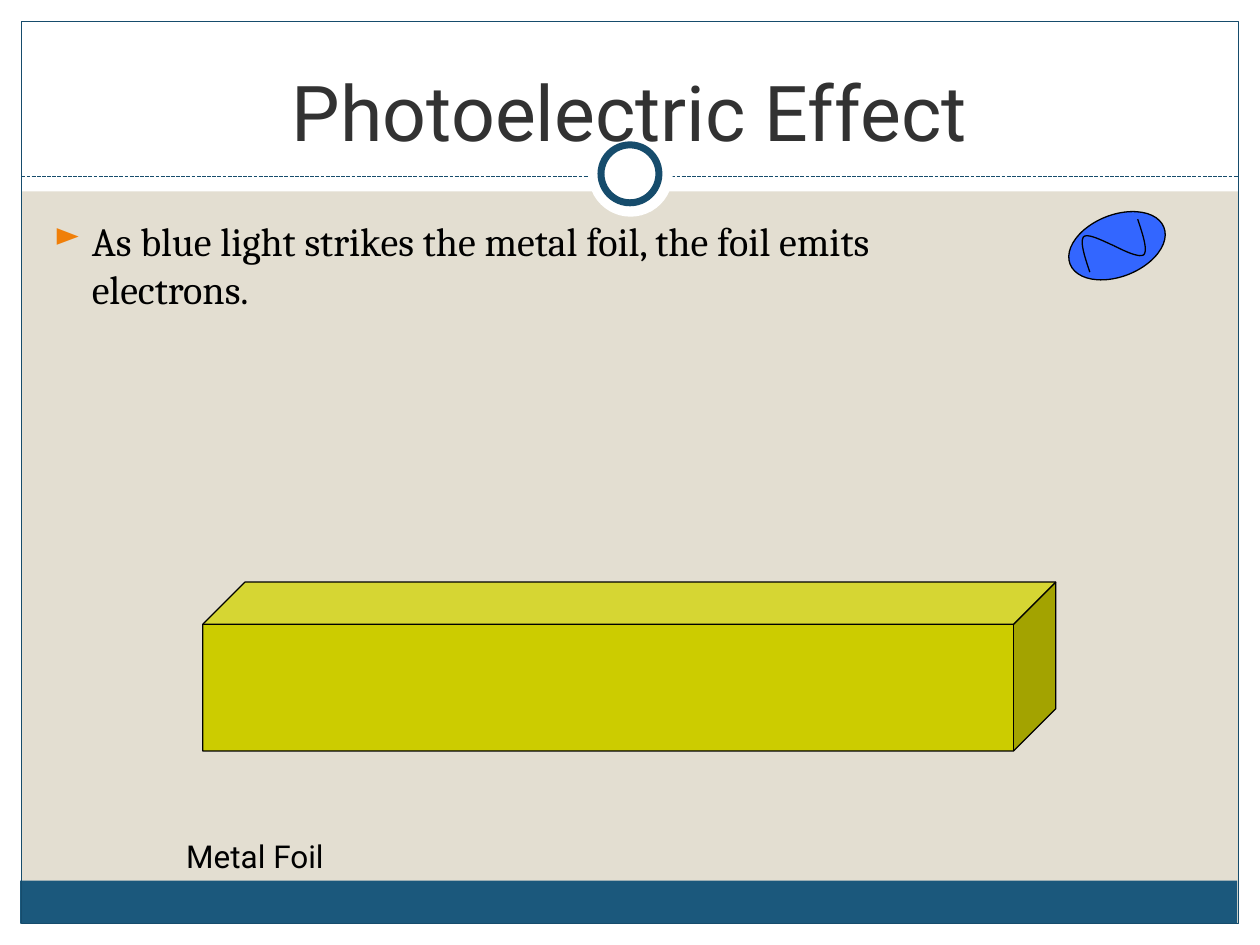
"""Build the Photoelectric Effect slide."""
from lxml.etree import SubElement
from pptx import Presentation
from pptx.dml.color import RGBColor
from pptx.enum.dml import MSO_LINE
from pptx.enum.shapes import MSO_CONNECTOR, MSO_SHAPE as SHAPE
from pptx.enum.text import MSO_ANCHOR, PP_ALIGN
from pptx.oxml.ns import qn
from pptx.util import Inches, Pt

rgb = RGBColor.from_string
WHITE, BLACK, NAVY = "FFFFFF", "000000", "164C6C"

prs = Presentation()
prs.slide_width, prs.slide_height = Inches(10), Inches(7.5)
slide = prs.slides.add_slide(prs.slide_layouts[6])
slide.background.fill.solid()
slide.background.fill.fore_color.rgb = rgb("E3DED1")
shapes = slide.shapes


def style(shape, fill=None, line=None, weight=0.75):
    shape.shadow.inherit = False
    if fill:
        shape.fill.solid()
        shape.fill.fore_color.rgb = rgb(fill)
    else:
        shape.fill.background()
    if line:
        shape.line.color.rgb = rgb(line)
        shape.line.width = Pt(weight)
    else:
        shape.line.fill.background()


def add_text(box, text, font, size, color):
    frame = shapes.add_textbox(*map(Inches, box)).text_frame
    frame.word_wrap = True
    frame.text = text
    run_font = frame.paragraphs[0].runs[0].font
    run_font.name, run_font.size = font, Pt(size)
    run_font.color.rgb = rgb(color)
    return frame


panels = [
    ((0, 7.33, 10, 0.17), WHITE, None),
    ((0, 0, 10, 1.52), WHITE, None),
    ((0, 0, 0.17, 7.5), WHITE, None),
    ((9.83, 0, 0.17, 7.5), WHITE, None),
    ((0.16, 6.99, 9.66, 0.34), "1B587C", None),
    ((0.17, 0.17, 9.66, 7.16), None, NAVY),
]
for box, fill, line in panels:
    style(shapes.add_shape(SHAPE.RECTANGLE, *map(Inches, box)), fill, line)

divider = shapes.add_connector(
    MSO_CONNECTOR.STRAIGHT, Inches(0.17), Inches(1.4), Inches(9.83), Inches(1.4))
divider.line.color.rgb = rgb(NAVY)
divider.line.width = Pt(0.75)
divider.line.dash_style = MSO_LINE.SQUARE_DOT
SubElement(divider._element.spPr, qn("a:effectLst"))

for left, top, size, line in [(4.67, 1.05, 0.67, None), (4.77, 1.15, 0.46, NAVY)]:
    ring = shapes.add_shape(SHAPE.OVAL, Inches(left), Inches(top), Inches(size), Inches(size))
    style(ring, WHITE, line, 4)

photon = shapes.add_shape(SHAPE.OVAL, Inches(8.62), Inches(1.55), Inches(0.49), Inches(0.8))
photon.rotation = 68.5
style(photon, "3366FF", BLACK)

wave_halves = [
    [(8.84, 1.95), (8.73, 1.9), (8.63, 1.85), (8.6, 1.88),
     (8.57, 1.92), (8.61, 2.04), (8.65, 2.16)],
    [(8.84, 1.95), (8.94, 2), (9.05, 2.05), (9.08, 2.02),
     (9.11, 1.98), (9.07, 1.86), (9.03, 1.74)],
]
STEPS = 12
for points in wave_halves:
    curve = []
    for start in (0, 3):
        for step in range(1, STEPS + 1):
            t = step / STEPS
            weights = ((1 - t) ** 3, 3 * t * (1 - t) ** 2, 3 * t ** 2 * (1 - t), t ** 3)
            controls = points[start:start + 4]
            curve.append(tuple(
                Inches(sum(w * point[axis] for w, point in zip(weights, controls)))
                for axis in (0, 1)))
    builder = shapes.build_freeform(*map(Inches, points[0]))
    builder.add_line_segments(curve, close=False)
    style(builder.convert_to_shape(), line=BLACK)

title = add_text((0.33, 0.25, 9.34, 1.25), "Photoelectric Effect", "Roboto", 44, "323232")
title.vertical_anchor = MSO_ANCHOR.MIDDLE
title.paragraphs[0].alignment = PP_ALIGN.CENTER

foil = shapes.add_shape(SHAPE.CUBE, Inches(1.61), Inches(4.62), Inches(6.77), Inches(1.34))
foil.adjustments[0] = 0.25
style(foil, "CCCC00", BLACK)
add_text((1.38, 6.59, 5.67, 0.4), "Metal Foil", "Roboto", 18, BLACK)

statement = add_text(
    (0.33, 1.67, 7.19, 0.9),
    "As blue light strikes the metal foil, the foil emits electrons.",
    "Cambria", 22.9, BLACK)
bullet = statement.paragraphs[0]._p.get_or_add_pPr()
bullet.set("marL", str(Inches(0.3)))
bullet.set("indent", str(Inches(-0.3)))
SubElement(SubElement(bullet, qn("a:buClr")), qn("a:srgbClr"), val="F07F09")
SubElement(bullet, qn("a:buSzPct"), val="85000")
SubElement(bullet, qn("a:buChar"), char="►")

prs.save("out.pptx")
